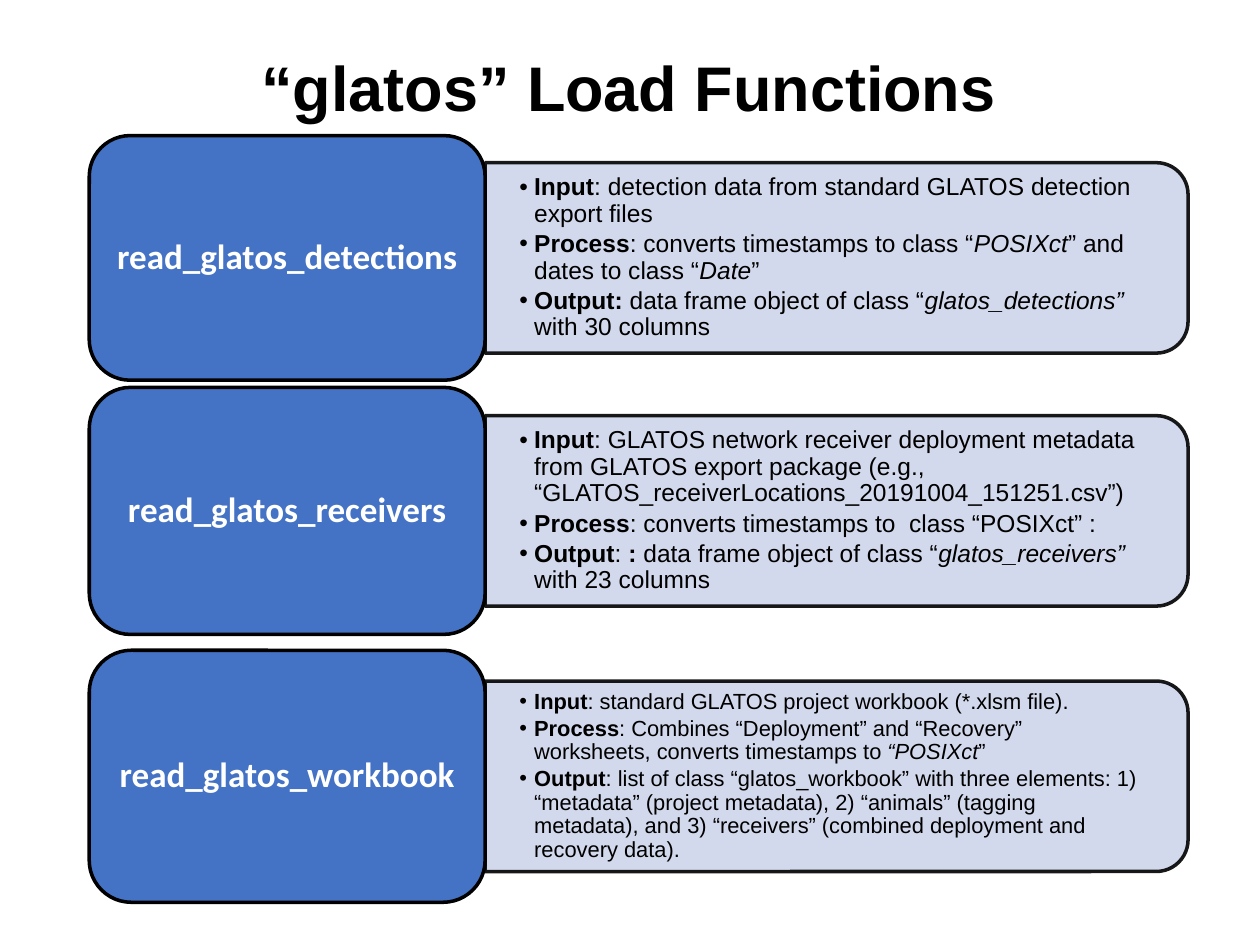
from lxml import etree
from pptx import Presentation
from pptx.dml.color import RGBColor
from pptx.enum import shapes, text
from pptx.oxml.ns import qn
from pptx.util import Cm, Pt

BLACK = RGBColor(0x00, 0x00, 0x00)
WHITE = RGBColor(0xFF, 0xFF, 0xFF)
TILE_BLUE = RGBColor(0x44, 0x72, 0xC4)
PANEL_BLUE = RGBColor(0xCF, 0xD5, 0xEA)

TILE_LEFT, TILE_WIDTH = 1.8, 7.98
PANEL_LEFT, PANEL_WIDTH, PANEL_HEIGHT = TILE_LEFT + TILE_WIDTH, 14.17, 3.84
DETAILS_WIDTH, DETAILS_HEIGHT = 13.97, 3.45

PLAIN, BOLD, ITALIC = "plain", "bold", "italic"

# Function name, row centre (cm), tile height (cm), text size (pt), bullets
FUNCTIONS = [
    ("read_glatos_detections", 5.2, 4.93, 14, [
        [("Input", BOLD),
         (": detection data from standard GLATOS detection export files", PLAIN)],
        [("Process", BOLD), (": converts timestamps to class “", PLAIN),
         ("POSIXct", ITALIC), ("” and dates to class “", PLAIN),
         ("Date", ITALIC), ("”", PLAIN)],
        [("Output: ", BOLD), ("data frame object of class “", PLAIN),
         ("glatos_detections” ", ITALIC), ("with 30 columns", PLAIN)],
    ]),
    ("read_glatos_receivers", 10.3, 4.98, 14, [
        [("Input", BOLD),
         (": GLATOS network receiver deployment metadata from GLATOS export "
          "package (e.g., “GLATOS_receiverLocations_20191004_151251.csv”)", PLAIN)],
        [("Process", BOLD),
         (": converts timestamps to  class “POSIXct” :", PLAIN)],
        [("Output", BOLD), (": ", PLAIN), (": ", BOLD),
         ("data frame object of class “", PLAIN),
         ("glatos_receivers” ", ITALIC), ("with 23 columns", PLAIN)],
    ]),
    ("read_glatos_workbook", 15.65, 5.08, 12.5, [
        [("Input", BOLD),
         (": standard GLATOS project workbook (*.xlsm file).", PLAIN)],
        [("Process", BOLD),
         (": Combines “Deployment” and “Recovery” worksheets, converts "
          "timestamps to ", PLAIN), ("“POSIXct", ITALIC), ("”", PLAIN)],
        [("Output", BOLD),
         (": list of class “glatos_workbook” with three elements: 1) “metadata” "
          "(project metadata), 2) “animals” (tagging metadata), and 3) "
          "“receivers” (combined deployment and recovery data).", PLAIN)],
    ]),
]


def set_font(paragraph, name, size, color, bold=None):
    font = paragraph.font
    font.name, font.size, font.bold = name, Pt(size), bold
    font.color.rgb = color


def set_frame(frame, horizontal, vertical):
    """Wrap and centre the text vertically, with margins in cm."""
    frame.word_wrap = True
    frame.vertical_anchor = text.MSO_ANCHOR.MIDDLE
    frame.margin_left = frame.margin_right = Cm(horizontal)
    frame.margin_top = frame.margin_bottom = Cm(vertical)


def make_translucent(color_format, percent):
    """Set the opacity of a solid fill."""
    for color in color_format._xPr.iter(qn("a:srgbClr")):
        etree.SubElement(color, qn("a:alpha")).set("val", str(percent * 1000))


def add_outlined_shape(slide, preset, left, top, width, height, fill):
    shape = slide.shapes.add_shape(preset, Cm(left), Cm(top), Cm(width), Cm(height))
    shape.shadow.inherit = False
    shape.fill.solid()
    shape.fill.fore_color.rgb = fill
    shape.line.color.rgb = BLACK
    shape.line.width = Pt(2)
    return shape


def add_title(slide, title):
    box = slide.shapes.add_textbox(Cm(0.71), Cm(0.86), Cm(23.93), Cm(1.8))
    box.text_frame.word_wrap = True
    paragraph = box.text_frame.paragraphs[0]
    paragraph.text = title
    paragraph.alignment = text.PP_ALIGN.CENTER
    set_font(paragraph, "Arial", 36, BLACK, bold=True)


def add_panel(slide, center):
    """Add a panel rounded on its right side: a top-rounded shape turned by 90°."""
    middle = PANEL_LEFT + PANEL_WIDTH / 2
    panel = add_outlined_shape(
        slide, shapes.MSO_SHAPE.ROUND_2_SAME_RECTANGLE,
        middle - PANEL_HEIGHT / 2, center - PANEL_WIDTH / 2,
        PANEL_HEIGHT, PANEL_WIDTH, PANEL_BLUE)
    panel.rotation = 90
    for color in panel._element.spPr.iter(qn("a:srgbClr")):
        etree.SubElement(color, qn("a:alpha")).set("val", "90000")


def add_bullet(paragraph):
    properties = paragraph._p.get_or_add_pPr()
    properties.set("marL", str(Cm(0.3)))
    properties.set("indent", str(-Cm(0.3)))
    etree.SubElement(properties, qn("a:buFont")).set("typeface", "Arial")
    etree.SubElement(properties, qn("a:buChar")).set("char", "•")


def add_details(slide, center, size, bullets):
    box = slide.shapes.add_textbox(
        Cm(PANEL_LEFT), Cm(center - DETAILS_HEIGHT / 2),
        Cm(DETAILS_WIDTH), Cm(DETAILS_HEIGHT))
    frame = box.text_frame
    set_frame(frame, 0.69, 0.36)
    for index, runs in enumerate(bullets):
        paragraph = frame.add_paragraph() if index else frame.paragraphs[0]
        add_bullet(paragraph)
        paragraph.line_spacing = 0.9
        paragraph.space_after = Pt(0.15 * size)
        set_font(paragraph, "Arial", size, BLACK)
        for words, style in runs:
            run = paragraph.add_run()
            run.text = words
            run.font.bold = style == BOLD
            run.font.italic = style == ITALIC


def add_tile(slide, name, center, height):
    tile = add_outlined_shape(
        slide, shapes.MSO_SHAPE.ROUNDED_RECTANGLE,
        TILE_LEFT, center - height / 2, TILE_WIDTH, height, TILE_BLUE)
    set_frame(tile.text_frame, 0.2, 0.1)
    paragraph = tile.text_frame.paragraphs[0]
    paragraph.text = name
    paragraph.alignment = text.PP_ALIGN.CENTER
    paragraph.line_spacing = 0.9
    set_font(paragraph, "Calibri", 20, WHITE, bold=True)


def main():
    presentation = Presentation()
    presentation.slide_width, presentation.slide_height = Cm(25.4), Cm(19.05)
    slide = presentation.slides.add_slide(presentation.slide_layouts[6])
    add_title(slide, "“glatos” Load Functions")
    for name, center, tile_height, size, bullets in FUNCTIONS:
        add_panel(slide, center)
        add_details(slide, center, size, bullets)
        add_tile(slide, name, center, tile_height)
    presentation.save("out.pptx")


if __name__ == "__main__":
    main()
